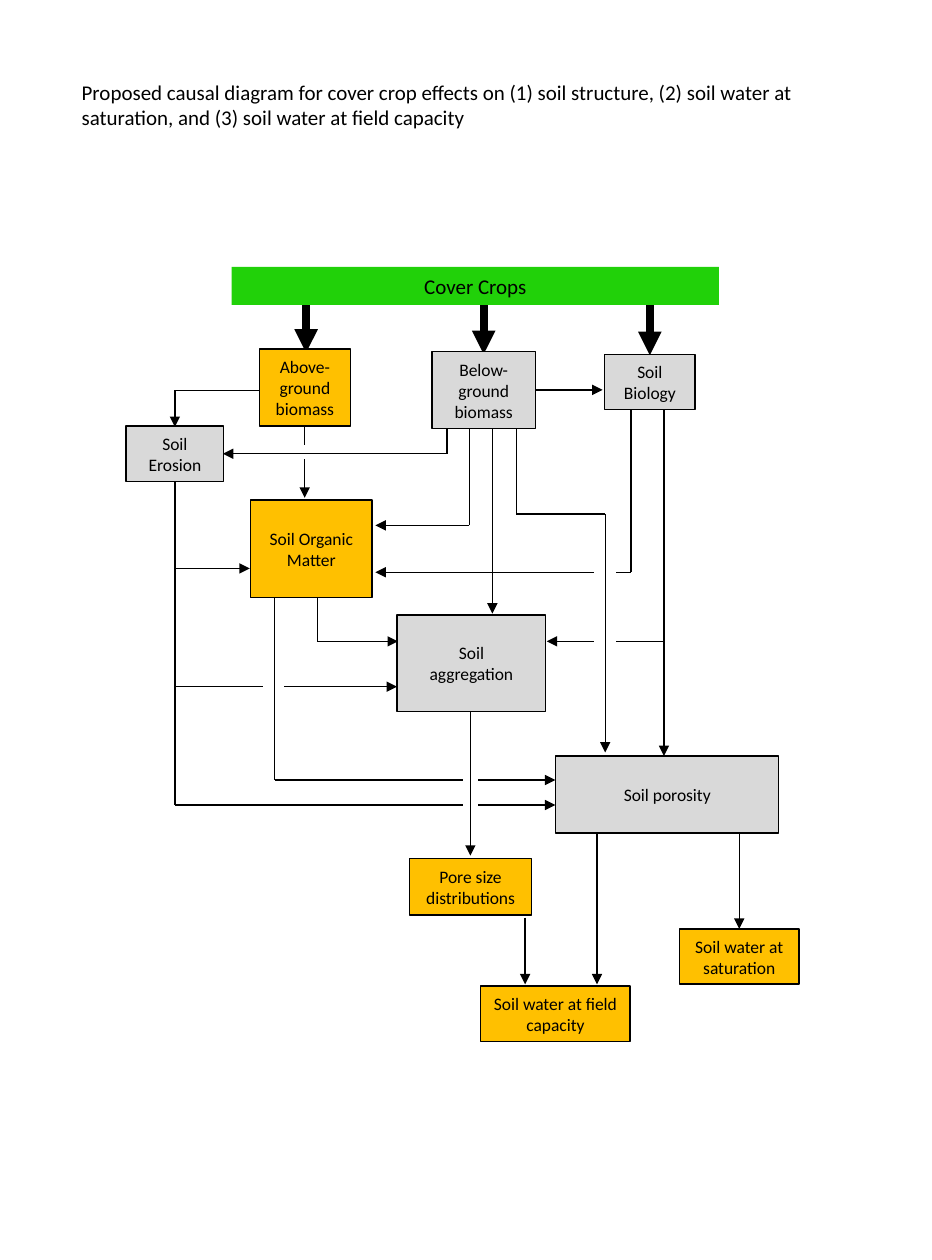
import pptx
import pptx.util
import pptx.dml.color
import pptx.enum.shapes
import pptx.enum.text
import pptx.oxml.ns
import lxml.etree

Pt = pptx.util.Pt
BLACK, WHITE, GREY, ORANGE, GREEN = "000000", "FFFFFF", "D9D9D9", "FFC000", "21D109"

# Label, left, top, width, height, fill
BOXES = [
    ("Above-ground biomass", 148.3, 199.5, 52, 44, ORANGE),
    ("Below-ground biomass", 247, 201, 59, 44, GREY),
    ("Soil Biology", 345.6, 202.5, 51.8, 31.6, GREY),
    ("Soil Erosion", 72, 243.5, 56, 31.6, GREY),
    ("Soil Organic Matter", 143.3, 285.8, 69.4, 55.7, ORANGE),
    ("Soil\naggregation", 227, 351.4, 85, 55.4, GREY),
    ("Soil porosity", 317.8, 432, 127.4, 44, GREY),
    ("Pore size distributions", 234, 490.5, 70, 32.4, ORANGE),
    ("Soil water at saturation", 388.3, 530.8, 68.6, 31.6, ORANGE),
    ("Soil water at field capacity", 274.8, 563.4, 85.5, 31.6, ORANGE),
]

# Routes that run beneath another route where they cross
LOWER_ROUTES = [
    [(174.2, 243), (174.2, 284.5)],
    [(100, 392.4), (227, 392.4)],
    [(100, 275), (100, 460), (317.5, 460)],
    [(157, 341), (157, 445.7), (317.5, 445.7)],
    [(360.7, 234), (360.7, 327), (214.6, 327)],
    [(379.6, 366.5), (312.6, 366.5)],
]

# White gaps at the crossings: centre and width
GAPS = [
    ((173, 258.5), 11.5), ((156.3, 394), 11.5), ((346, 327), 11.5),
    ((346, 365), 11.5), ((268.9, 444.5), 8), ((268.9, 460.8), 8),
]

UPPER_ROUTES = [
    [(148.3, 223), (100, 223), (100, 244)],
    [(100, 324.8), (142.8, 324.8)],
    [(157, 341), (157, 445.7)],
    [(181.4, 341), (181.4, 366.5), (227.5, 366.5)],
    [(255.6, 244), (255.6, 259.3), (127.5, 259.3)],
    [(268.4, 244), (268.4, 300.2), (214.6, 300.2)],
    [(281.5, 244), (281.5, 350.6)],
    [(295.2, 244), (295.2, 293.8), (346, 293.8), (346, 430)],
    [(306, 222.8), (344.5, 222.8)],
    [(379.6, 234), (379.6, 432)],
    [(268.9, 406), (268.9, 489)],
    [(300.2, 524.3), (300.2, 562.5)],
    [(341.3, 476), (341.3, 562.5)],
    [(422.6, 476), (422.6, 530.8)],
]

COVER_CROP_ARROWS = [(175, 201.6), (276.5, 202.4), (371.5, 203)]


def color(hex_string):
    return pptx.dml.color.RGBColor.from_string(hex_string)


def write(shape, text, size, align):
    frame = shape.text_frame
    frame.word_wrap = True
    frame.text = text
    for para in frame.paragraphs:
        para.alignment = align
        para.font.name = "Calibri"
        para.font.size = Pt(size)
        para.font.color.rgb = color(BLACK)


def add_box(page, left, top, width, height, fill, outline=None):
    box = page.shapes.add_shape(pptx.enum.shapes.MSO_SHAPE.RECTANGLE,
                                Pt(left), Pt(top), Pt(width), Pt(height))
    box.shadow.inherit = False
    box.fill.solid()
    box.fill.fore_color.rgb = color(fill)
    if outline:
        box.line.color.rgb = color(outline)
        box.line.width = Pt(0.75)
    else:
        box.line.fill.background()
    return box


def add_label_box(page, text, left, top, width, height, fill, size=10, outline=BLACK):
    box = add_box(page, left, top, width, height, fill, outline)
    box.text_frame.vertical_anchor = pptx.enum.text.MSO_ANCHOR.MIDDLE
    write(box, text, size, pptx.enum.text.PP_ALIGN.CENTER)


def add_line(page, start, end, width, arrow):
    line = page.shapes.add_connector(pptx.enum.shapes.MSO_CONNECTOR.STRAIGHT,
                                     *[Pt(value) for value in start + end])
    line.line.color.rgb = color(BLACK)
    line.line.width = Pt(width)
    qn = pptx.oxml.ns.qn
    if arrow:
        lxml.etree.SubElement(line.line._get_or_add_ln(), qn("a:tailEnd"), type="triangle")
    lxml.etree.SubElement(line._element.spPr, qn("a:effectLst"))


def add_route(page, points, width=0.75):
    """Join the points by lines, with an arrowhead on the last one."""
    for index in range(1, len(points)):
        add_line(page, points[index - 1], points[index], width, index == len(points) - 1)


def add_gap(page, center, width, height=7.2):
    x, y = center
    add_box(page, x - width / 2, y - height / 2, width, height, WHITE, WHITE)


def add_title(page):
    box = page.shapes.add_textbox(Pt(39.6), Pt(41.8), Pt(453), Pt(36))
    write(box, "Proposed causal diagram for cover crop effects on (1) soil structure, "
               "(2) soil water at saturation, and (3) soil water at field capacity",
          12, pptx.enum.text.PP_ALIGN.LEFT)


def main():
    deck = pptx.Presentation()
    deck.slide_width, deck.slide_height = Pt(532.8), Pt(720)
    page = deck.slides.add_slide(deck.slide_layouts[6])
    add_title(page)

    # Arrows, with gaps where they cross
    for points in LOWER_ROUTES:
        add_route(page, points)
    for center, width in GAPS:
        add_gap(page, center, width)
    for points in UPPER_ROUTES[:2] + UPPER_ROUTES[3:]:
        add_route(page, points)
    add_line(page, *UPPER_ROUTES[2], 0.75, False)
    for x, bottom in COVER_CROP_ARROWS:
        add_route(page, [(x, 164), (x, bottom)], 4.5)

    # Boxes
    add_label_box(page, "Cover Crops", 132.5, 152.6, 278.6, 21.7, GREEN, 12, None)
    for box in BOXES:
        add_label_box(page, *box)

    deck.save("out.pptx")


main()
